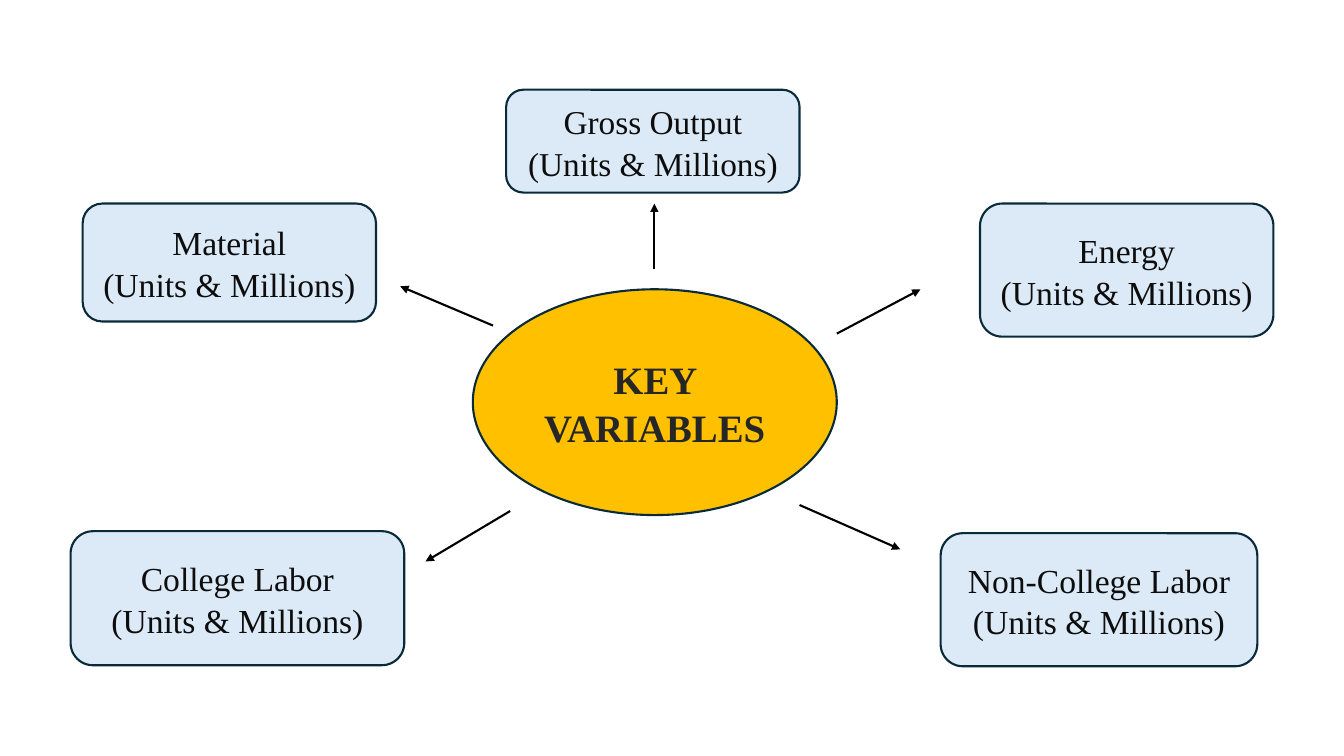
from lxml.etree import SubElement
from pptx import Presentation
from pptx.dml.color import RGBColor
from pptx.enum.shapes import MSO_CONNECTOR, MSO_SHAPE
from pptx.enum.text import MSO_ANCHOR, PP_ALIGN
from pptx.oxml.ns import qn
from pptx.util import Inches, Pt

SLIDE_W, SLIDE_H = Inches(13.33), Inches(7.5)
FONT = "Times New Roman"
OUTLINE = "092A39"
UNITS = "(Units & Millions)"

# Boxes (left, top, width, height) and arrow ends (x, y) in percent of the slide.
HUB_BOX = (35.18, 38.27, 27.08, 29.87)
BRANCHES = [
    # variable, text size, box, arrow start, arrow end
    ("Energy", 24, (72.92, 26.93, 21.83, 17.6), (62.27, 44.13), (68.49, 38.27)),
    ("Non-College Labor", 24, (69.99, 70.53, 23.56, 17.6), (59.49, 66.8), (66.99, 72.67)),
    ("College Labor", 24, (5.25, 70.27, 24.83, 17.73), (37.96, 67.6), (31.66, 74.27)),
    ("Material", 24, (6.15, 26.93, 21.83, 15.6), (36.68, 43.07), (29.78, 37.87)),
    ("Gross Output", 23.8, (37.66, 11.87, 21.83, 13.6), (48.69, 35.6), (48.69, 26.93)),
]


def color(hex_value):
    return RGBColor.from_string(hex_value)


def to_emu(shares):
    """Turn alternating x and y percentages into slide lengths."""
    return [round(share / 100 * (SLIDE_H if i % 2 else SLIDE_W))
            for i, share in enumerate(shares)]


def write_text(frame, lines, size, ink, bold=False):
    frame.word_wrap = True
    frame.vertical_anchor = MSO_ANCHOR.MIDDLE
    for i, line in enumerate(lines):
        paragraph = frame.add_paragraph() if i else frame.paragraphs[0]
        paragraph.alignment = PP_ALIGN.CENTER
        paragraph.line_spacing = 1.04
        run = paragraph.add_run()
        run.text = line
        run.font.name = FONT
        run.font.size = Pt(size)
        run.font.bold = bold
        run.font.color.rgb = color(ink)


def draw_node(slide, preset, box, fill, lines, **text_format):
    node = slide.shapes.add_shape(preset, *to_emu(box))
    node.shadow.inherit = False
    node.fill.solid()
    node.fill.fore_color.rgb = color(fill)
    node.line.color.rgb = color(OUTLINE)
    node.line.width = Pt(1.5)
    write_text(node.text_frame, lines, **text_format)


def draw_arrow(slide, start, end):
    arrow = slide.shapes.add_connector(MSO_CONNECTOR.STRAIGHT, *to_emu(start + end))
    arrow.line.color.rgb = color("000000")
    arrow.line.width = Pt(1.5)
    SubElement(arrow.line._get_or_add_ln(), qn("a:tailEnd"), type="triangle")
    SubElement(arrow._element.spPr, qn("a:effectLst"))


def draw_hub(slide, box):
    draw_node(slide, MSO_SHAPE.OVAL, box, "FFC000", ["KEY VARIABLES"],
              size=27.7, ink="262626", bold=True)


def draw_branch(slide, variable, size, box, start, end):
    """Draw one variable's box and the arrow leading to it from the hub."""
    draw_arrow(slide, start, end)
    draw_node(slide, MSO_SHAPE.ROUNDED_RECTANGLE, box, "DCEAF7",
              [variable, UNITS], size=size, ink="0D0D0D")


def main():
    deck = Presentation()
    deck.slide_width, deck.slide_height = SLIDE_W, SLIDE_H
    slide = deck.slides.add_slide(deck.slide_layouts[6])
    draw_hub(slide, HUB_BOX)
    for branch in BRANCHES:
        draw_branch(slide, *branch)
    deck.save("out.pptx")


if __name__ == "__main__":
    main()
